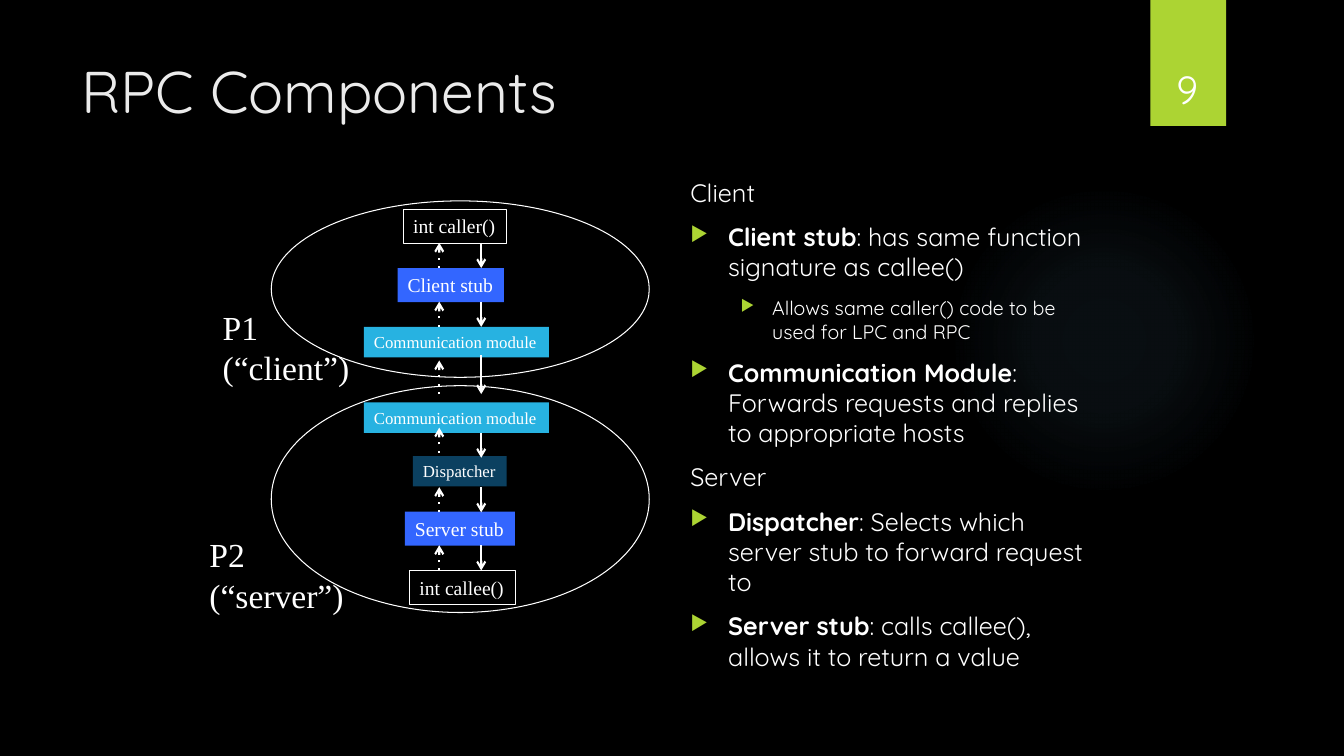
"""Build the RPC Components slide with its call diagram and explanations."""
from dataclasses import dataclass

from lxml import etree
from pptx import Presentation
from pptx.dml.color import RGBColor
from pptx.enum.shapes import MSO_CONNECTOR, MSO_SHAPE
from pptx.enum.text import MSO_ANCHOR, MSO_AUTO_SIZE, PP_ALIGN
from pptx.oxml.ns import qn
from pptx.util import Pt

RECTANGLE, ELLIPSE = MSO_SHAPE.RECTANGLE, MSO_SHAPE.OVAL
STRAIGHT = MSO_CONNECTOR.STRAIGHT
TOP, BOTTOM = MSO_ANCHOR.TOP, MSO_ANCHOR.BOTTOM
LEFT, CENTER = PP_ALIGN.LEFT, PP_ALIGN.CENTER
NO_FIT = MSO_AUTO_SIZE.NONE


@dataclass(frozen=True)
class Theme:
    """Colours, fonts and type sizes."""
    background: str = "000000"
    text: str = "FFFFFF"
    title: str = "EBEBEB"
    accent: str = "ACD433"
    glow: str = "7AC4F0"
    stub: str = "3366FF"
    module: str = "27B2E1"
    dispatcher: str = "0B4060"
    font: str = "Quicksand"
    diagram_font: str = "Times New Roman"
    title_size: int = 42
    number_size: int = 28
    process_size: int = 24
    body_size: int = 18
    detail_size: int = 14
    box_size: int = 14
    small_box_size: int = 12


THEME = Theme()
TITLE = "RPC Components"
PAGE_NUMBER = "9"
EXPLANATIONS = [
    ("heading", "", "Client"),
    ("bullet", "Client stub", ": has same function signature as callee()"),
    ("detail", "", "Allows same caller() code to be used for LPC and RPC"),
    ("bullet", "Communication Module", ": Forwards requests and replies to appropriate hosts"),
    ("heading", "", "Server"),
    ("bullet", "Dispatcher", ": Selects which server stub to forward request to"),
    ("bullet", "Server stub", ": calls callee(), allows it to return a value"),
]
STYLES = {
    "heading": (0, THEME.body_size, None),
    "bullet": (0, THEME.body_size, (27, 27)),
    "detail": (1, THEME.detail_size, (58.5, 22.5)),
}
PROCESSES = [
    (("P1", "(“client”)"), (152, 215.5, 105, 65.5), (143.5, 126)),
    (("P2", "(“server”)"), (142.5, 378, 111.5, 65.5), (275.5, 162)),
]
BOXES = [
    ("int caller()", 288, 149.5, 73.5, None),
    ("Client stub", 284, 191.5, 76, THEME.stub),
    ("Communication module", 260, 233.5, 132, THEME.module),
    ("Communication module", 260, 287.5, 132, THEME.module),
    ("Dispatcher", 295, 325.75, 67, THEME.dispatcher),
    ("Server stub", 289.25, 365.5, 78.5, THEME.stub),
    ("int callee()", 292.5, 407.5, 75.5, None),
]
SMALL_BOXES = ("Communication module", "Dispatcher")
CALL_X, REPLY_X = 343.75, 313.75
OUTER_SPANS = [(173.5, 191.5), (215.5, 233.5), (348, 366), (389.5, 407.5)]
CALL_SPANS = OUTER_SPANS + [(253.5, 281.5), (309, 327)]
REPLY_SPANS = OUTER_SPANS + [(257.5, 281.5), (305.5, 323.5)]


def rgb(color):
    """Return a colour object for a hex string."""
    return RGBColor.from_string(color)


def add_node(parent, tag, **attributes):
    """Append a DrawingML element."""
    return etree.SubElement(parent, qn(tag), attributes)


def write(paragraph, text, *, size, font=THEME.font, color=THEME.text, bold=False):
    """Add one formatted run to a paragraph."""
    run = paragraph.add_run()
    run.text = text
    run.font.size, run.font.name, run.font.bold = Pt(size), font, bold
    run.font.color.rgb = rgb(color)


def set_frame(shape, *, wrap=True, anchor=TOP):
    """Set up the text frame of a shape and return it."""
    frame = shape.text_frame
    frame.auto_size, frame.word_wrap, frame.vertical_anchor = NO_FIT, wrap, anchor
    return frame


def next_paragraph(frame, index):
    """Return the first paragraph or append another."""
    return frame.add_paragraph() if index else frame.paragraphs[0]


def add_shape(slide, kind, bounds, fill=None, line=None):
    """Add a preset shape with an optional fill and outline."""
    shape = slide.shapes.add_shape(kind, *map(Pt, bounds))
    shape.shadow.inherit = False
    if fill:
        shape.fill.solid()
        shape.fill.fore_color.rgb = rgb(fill)
    else:
        shape.fill.background()
    if line:
        shape.line.color.rgb = rgb(line)
        shape.line.width = Pt(0.75)
    else:
        shape.line.fill.background()
    return shape


def add_glow(slide):
    """Add the faint radial glow."""
    shape = add_shape(slide, ELLIPSE, (677.5, 131.75, 222, 222))
    properties = shape.fill._xPr
    old_fill = properties.find(qn("a:noFill"))
    gradient = etree.Element(qn("a:gradFill"), rotWithShape="1")
    stops = add_node(gradient, "a:gsLst")
    for position, opacity in ((0, 7), (36, 6), (69, 0)):
        stop = add_node(stops, "a:gs", pos=str(position * 1000))
        color = add_node(stop, "a:srgbClr", val=THEME.glow)
        add_node(color, "a:alpha", val=str(opacity * 1000))
    circle = add_node(gradient, "a:path", path="circle")
    add_node(circle, "a:fillToRect", l="50000", t="50000", r="50000", b="50000")
    properties.replace(old_fill, gradient)


def add_arrow(slide, x, start, end, dotted=False):
    """Add a vertical arrow."""
    arrow = slide.shapes.add_connector(STRAIGHT, Pt(x), Pt(start), Pt(x), Pt(end))
    arrow.line.color.rgb = rgb(THEME.text)
    arrow.line.width = Pt(1.5)
    outline = arrow.line._get_or_add_ln()
    if dotted:
        add_node(outline, "a:prstDash", val="dot")
    add_node(outline, "a:tailEnd", type="arrow")
    add_node(arrow._element.spPr, "a:effectLst")


def add_bullet(paragraph, margin, hanging):
    """Give a paragraph a hanging triangle bullet."""
    properties = paragraph._p.get_or_add_pPr()
    properties.set("marL", str(Pt(margin)))
    properties.set("indent", str(-Pt(hanging)))
    add_node(add_node(properties, "a:buClr"), "a:srgbClr", val=THEME.accent)
    add_node(properties, "a:buSzPct", val="80000")
    add_node(properties, "a:buChar", char="▶")


def add_header(slide):
    """Add the title, ribbon and page number."""
    add_shape(slide, RECTANGLE, (821.75, 0, 54, 90), THEME.accent)
    title = slide.shapes.title
    title.left, title.top, title.width, title.height = map(Pt, (51, 35.75, 741, 110))
    paragraph = set_frame(title).paragraphs[0]
    paragraph.alignment = LEFT
    write(paragraph, TITLE, size=THEME.title_size, color=THEME.title)
    number = slide.shapes.add_textbox(*map(Pt, (815, 23, 66, 60.5)))
    paragraph = set_frame(number, anchor=BOTTOM).paragraphs[0]
    paragraph.alignment = CENTER
    write(paragraph, PAGE_NUMBER, size=THEME.number_size)


def add_explanations(slide):
    """Add the bulleted explanations."""
    box = slide.shapes.add_textbox(*map(Pt, (486, 123, 303, 353.5)))
    frame = set_frame(box)
    for index, (style, term, text) in enumerate(EXPLANATIONS):
        level, size, indent = STYLES[style]
        paragraph = next_paragraph(frame, index)
        paragraph.level, paragraph.space_before = level, Pt(10)
        if indent:
            add_bullet(paragraph, *indent)
        if term:
            write(paragraph, term, size=size, bold=True)
        write(paragraph, text, size=size)


def add_diagram(slide):
    """Add both processes, their components and the arrows."""
    for lines, bounds, (top, height) in PROCESSES:
        add_shape(slide, ELLIPSE, (193.75, top, 270, height), line=THEME.text)
        frame = set_frame(slide.shapes.add_textbox(*map(Pt, bounds)), wrap=False)
        for index, text in enumerate(lines):
            write(next_paragraph(frame, index), text, size=THEME.process_size, font=THEME.diagram_font)
    for text, left, top, width, fill in BOXES:
        small = text in SMALL_BOXES
        bounds = (left, top, width, 21.75 if small else 24.25)
        box = add_shape(slide, RECTANGLE, bounds, fill, None if fill else THEME.text)
        paragraph = set_frame(box, wrap=False).paragraphs[0]
        paragraph.alignment = LEFT
        size = THEME.small_box_size if small else THEME.box_size
        write(paragraph, text, size=size, font=THEME.diagram_font)
    for top, bottom in CALL_SPANS:
        add_arrow(slide, CALL_X, top, bottom)
    for top, bottom in REPLY_SPANS:
        add_arrow(slide, REPLY_X, bottom, top, dotted=True)


def main():
    """Create and save the presentation."""
    presentation = Presentation()
    presentation.slide_width, presentation.slide_height = Pt(960), Pt(540)
    slide = presentation.slides.add_slide(presentation.slide_layouts.get_by_name("Title Only"))
    slide.background.fill.solid()
    slide.background.fill.fore_color.rgb = rgb(THEME.background)
    add_glow(slide)
    add_header(slide)
    add_explanations(slide)
    add_diagram(slide)
    presentation.save("out.pptx")


if __name__ == "__main__":
    main()
